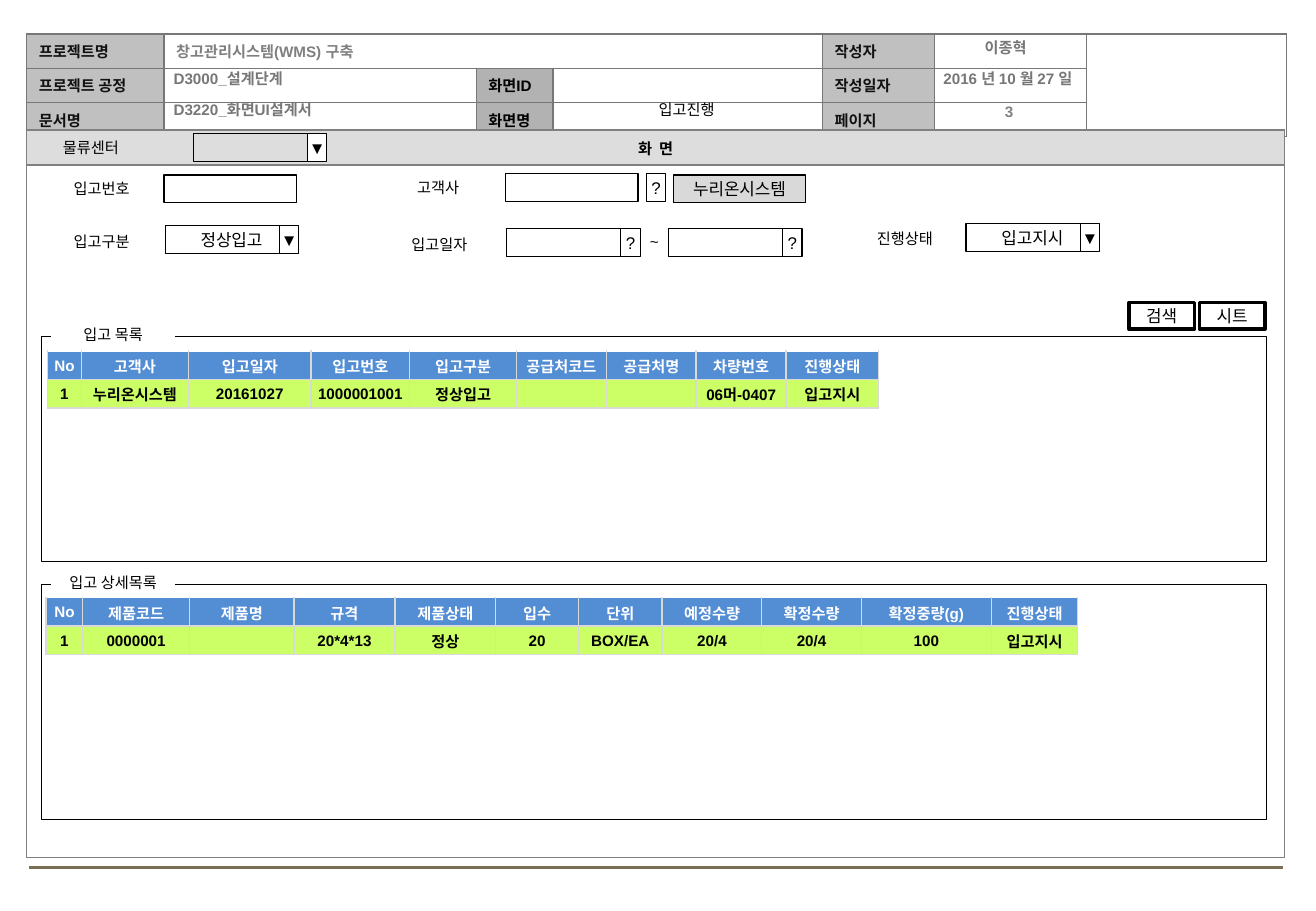
import pptx
import pptx.util
import pptx.dml.color
import pptx.enum.shapes
import pptx.enum.text
import pptx.oxml
import lxml.etree

Inches, Pt = pptx.util.Inches, pptx.util.Pt
RGBColor = pptx.dml.color.RGBColor
ALIGN, ANCHOR = pptx.enum.text.PP_ALIGN, pptx.enum.text.MSO_ANCHOR
BLACK, WHITE = RGBColor(0, 0, 0), RGBColor(255, 255, 255)
INK = RGBColor(0x11, 0x11, 0x11)
GRAY, MUTED = RGBColor(0x77, 0x77, 0x77), RGBColor(0x80, 0x80, 0x80)
LABEL_FILL, ID_FILL = RGBColor(0xC0, 0xC0, 0xC0), RGBColor(0xB2, 0xB2, 0xB2)
BAR_FILL, LOCKED_FILL = RGBColor(0xDD, 0xDD, 0xDD), RGBColor(0xD9, 0xD9, 0xD9)
BLUE, LIME = RGBColor(0x53, 0x8E, 0xD5), RGBColor(0xCC, 0xFF, 0x66)
FOOTER = RGBColor(0x7A, 0x6F, 0x54)

CUSTOMER = "누리온시스템"
HEADER_COLUMNS = (1.13, 2.57, 0.63, 2.22, 0.92, 1.25, 1.65)
HEADER_LABELS = {
    0: (("프로젝트명", "프로젝트 공정", "문서명"), INK, LABEL_FILL),
    1: (("창고관리시스템(WMS) 구축", "", ""), MUTED, None),
    2: (("", "화면ID", "화면명"), BLACK, ID_FILL),
    4: (("작성자", "작성일자", "페이지"), INK, LABEL_FILL),
}
HEADER_VALUES = [
    ("D3000_설계단계", 1.33, 0.52, 5.42, GRAY, True, ALIGN.LEFT),
    ("D3220_화면UI설계서", 1.33, 0.78, 5.41, GRAY, True, ALIGN.LEFT),
    ("이종혁", 7.49, 0.27, 1.57, GRAY, True, ALIGN.CENTER),
    ("2016 년 10 월 27 일", 7.51, 0.52, 1.57, GRAY, True, ALIGN.CENTER),
    ("3", 7.68, 0.79, 1.25, MUTED, True, ALIGN.CENTER),
    ("입고진행", 4.56, 0.78, 2.18, BLACK, False, ALIGN.CENTER),
]
LISTS = [
    {"title": "입고 목록", "panel": (2.77, 1.85), "table": (0.39, 2.89),
     "columns": [("No", "1", 0.28), ("고객사", CUSTOMER, 0.88), ("입고일자", "20161027", 1.01),
                 ("입고번호", "1000001001", 0.81), ("입고구분", "정상입고", 0.88),
                 ("공급처코드", "", 0.74), ("공급처명", "", 0.74),
                 ("차량번호", "06머-0407", 0.74), ("진행상태", "입고지시", 0.76)]},
    {"title": "입고 상세목록", "panel": (4.81, 1.94), "table": (0.38, 4.92),
     "columns": [("No", "1", 0.3), ("제품코드", "0000001", 0.88), ("제품명", "", 0.86),
                 ("규격", "20*4*13", 0.83), ("제품상태", "정상", 0.83), ("입수", "20", 0.68),
                 ("단위", "BOX/EA", 0.69), ("예정수량", "20/4", 0.82), ("확정수량", "20/4", 0.82),
                 ("확정중량(g)", "100", 1.07), ("진행상태", "입고지시", 0.71)]},
]
FIELD_LABELS = [
    ("물류센터", 0.42, 1.09, 1.17, ALIGN.LEFT), ("입고번호", 0.36, 1.43, 0.95, ALIGN.CENTER),
    ("고객사", 3.13, 1.42, 0.95, ALIGN.CENTER), ("입고구분", 0.36, 1.86, 0.95, ALIGN.CENTER),
    ("입고일자", 3.14, 1.89, 0.95, ALIGN.CENTER), ("~", 5.25, 1.86, 0.23, ALIGN.LEFT),
    ("진행상태", 6.97, 1.84, 0.95, ALIGN.CENTER),
]
INSIDE, BESIDE = 0.94, 1.16
FIELDS = [
    (1.59, 1.1, "", None, "▼", INSIDE), (1.35, 1.44, "", WHITE, "", 0),
    (4.16, 1.43, "", WHITE, "?", BESIDE), (5.54, 1.44, CUSTOMER, LOCKED_FILL, "", 0),
    (1.36, 1.86, "정상입고", None, "▼", INSIDE), (4.17, 1.88, "", WHITE, "?", INSIDE),
    (5.5, 1.88, "", WHITE, "?", INSIDE), (7.95, 1.84, "입고지시", WHITE, "▼", INSIDE),
]
ACTIONS = [("검색", 9.29), ("시트", 9.87)]


def add_text(frame, text, size, color, bold=False, align=ALIGN.CENTER):
    """Write one formatted run into the first paragraph of a frame."""
    paragraph = frame.paragraphs[0]
    paragraph.alignment = align
    run = paragraph.add_run()
    run.text = text
    run.font.name, run.font.size, run.font.bold = "Arial", Pt(size), bold
    run.font.color.rgb = color
    return paragraph


def set_margins(target, left, top, right, bottom):
    """Set the four text margins of a cell or frame in inches."""
    target.margin_left, target.margin_top = Inches(left), Inches(top)
    target.margin_right, target.margin_bottom = Inches(right), Inches(bottom)


def add_label(slide, text, left, top, width, color=BLACK, bold=False, align=ALIGN.CENTER):
    """Place a plain label."""
    frame = slide.shapes.add_textbox(*map(Inches, (left, top, width, 0.25))).text_frame
    frame.word_wrap = True
    add_text(frame, text, 9, color, bold, align)


def add_box(slide, left, top, width, height, fill=None, text="", line=0.75):
    """Place a rectangle with an optional caption."""
    shape = slide.shapes.add_shape(pptx.enum.shapes.MSO_SHAPE.RECTANGLE,
                                   *map(Inches, (left, top, width, height)))
    shape.shadow.inherit = False
    if fill is None:
        shape.fill.background()
    else:
        shape.fill.solid()
        shape.fill.fore_color.rgb = fill
    if line:
        shape.line.color.rgb, shape.line.width = BLACK, Pt(line)
    else:
        shape.line.fill.background()
    if text:
        frame = shape.text_frame
        frame.word_wrap = False
        frame.vertical_anchor = ANCHOR.MIDDLE
        set_margins(frame, 0.02, 0.04, 0.02, 0.04)
        add_text(frame, text, 10 if line else 9, BLACK)


def add_grid(slide, left, top, widths, heights):
    """Add a table without banding, sized by its columns and rows."""
    table = slide.shapes.add_table(len(heights), len(widths), Inches(left), Inches(top),
                                   Inches(sum(widths)), Inches(sum(heights))).table
    table.first_row = table.horz_banding = False
    for column, width in zip(table.columns, widths):
        column.width = Inches(width)
    for row, height in zip(table.rows, heights):
        row.height = Inches(height)
    return table


def format_cell(cell, text, color, fill, border, margins, align=ALIGN.CENTER,
                sides="LRTB", before=0):
    """Fill, border and write one table cell."""
    cell.vertical_anchor = ANCHOR.MIDDLE
    set_margins(cell, *margins)
    properties = cell._tc.get_or_add_tcPr()
    for side in sides:
        line = lxml.etree.SubElement(properties, pptx.oxml.ns.qn("a:ln" + side), w=str(Pt(1)))
        solid = lxml.etree.SubElement(line, pptx.oxml.ns.qn("a:solidFill"))
        lxml.etree.SubElement(solid, pptx.oxml.ns.qn("a:srgbClr"), val=str(border))
    if fill is None:
        cell.fill.background()
    else:
        cell.fill.solid()
        cell.fill.fore_color.rgb = fill
    paragraph = cell.text_frame.paragraphs[0]
    if text:
        add_text(cell.text_frame, text, 9, color, True, align).space_before = Pt(before)
    else:
        lxml.etree.SubElement(paragraph._p, pptx.oxml.ns.qn("a:endParaRPr"), sz="900")


presentation = pptx.Presentation()
presentation.slide_width, presentation.slide_height = Inches(10.83), Inches(7.5)
slide = presentation.slides.add_slide(presentation.slide_layouts[6])

footer = slide.shapes.add_connector(pptx.enum.shapes.MSO_CONNECTOR.STRAIGHT,
                                    Inches(0.24), Inches(7.14), Inches(10.56), Inches(7.14))
footer.line.color.rgb, footer.line.width = FOOTER, Pt(1.75)
lxml.etree.SubElement(footer._element.spPr, pptx.oxml.ns.qn("a:effectLst"))

header = add_grid(slide, 0.22, 0.28, HEADER_COLUMNS, [0.25] * 3)
for column in range(len(HEADER_COLUMNS)):
    texts, color, fill = HEADER_LABELS.get(column, (("", "", ""), BLACK, None))
    for row, text in enumerate(texts):
        format_cell(header.cell(row, column), text, color, fill if text else None, GRAY,
                    (0.1, 0.05, 0.1, 0.05), ALIGN.LEFT, before=2)
header.cell(0, 1).merge(header.cell(0, 3))
header.cell(0, 6).merge(header.cell(2, 6))

screen = add_grid(slide, 0.22, 1.07, [10.35], [0.29, 5.7])
for row, (text, fill) in enumerate([("화  면", BAR_FILL), ("", None)]):
    format_cell(screen.cell(row, 0), text, BLACK, fill, MUTED, (0.02, 0, 0.02, 0), before=2)

for value in HEADER_VALUES:
    add_label(slide, *value)

for section in LISTS:
    panel_top, panel_height = section["panel"]
    add_box(slide, 0.34, panel_top, 10.08, panel_height)
    add_box(slide, 0.42, panel_top - 0.14, 1.02, 0.25, WHITE, section["title"], line=0)
    columns = section["columns"]
    table = add_grid(slide, *section["table"], [column[2] for column in columns], [0.235] * 2)
    for index, (heading, value, width) in enumerate(columns):
        margins = (0.01, 0.01, 0.01, 0)
        format_cell(table.cell(0, index), heading, WHITE, BLUE, LOCKED_FILL, margins, sides="LRB")
        format_cell(table.cell(1, index), value, BLACK, LIME, LOCKED_FILL, margins)

for text, left, top, width, align in FIELD_LABELS:
    add_label(slide, text, left, top, width, align=align)
for left, top, text, fill, button, offset in FIELDS:
    add_box(slide, left, top, 1.09, 0.23, fill, text)
    if button:
        add_box(slide, left + offset, top, 0.16, 0.23, WHITE, button)
for text, left in ACTIONS:
    add_box(slide, left, 2.49, 0.54, 0.22, WHITE, text, line=2)

presentation.save("out.pptx")
